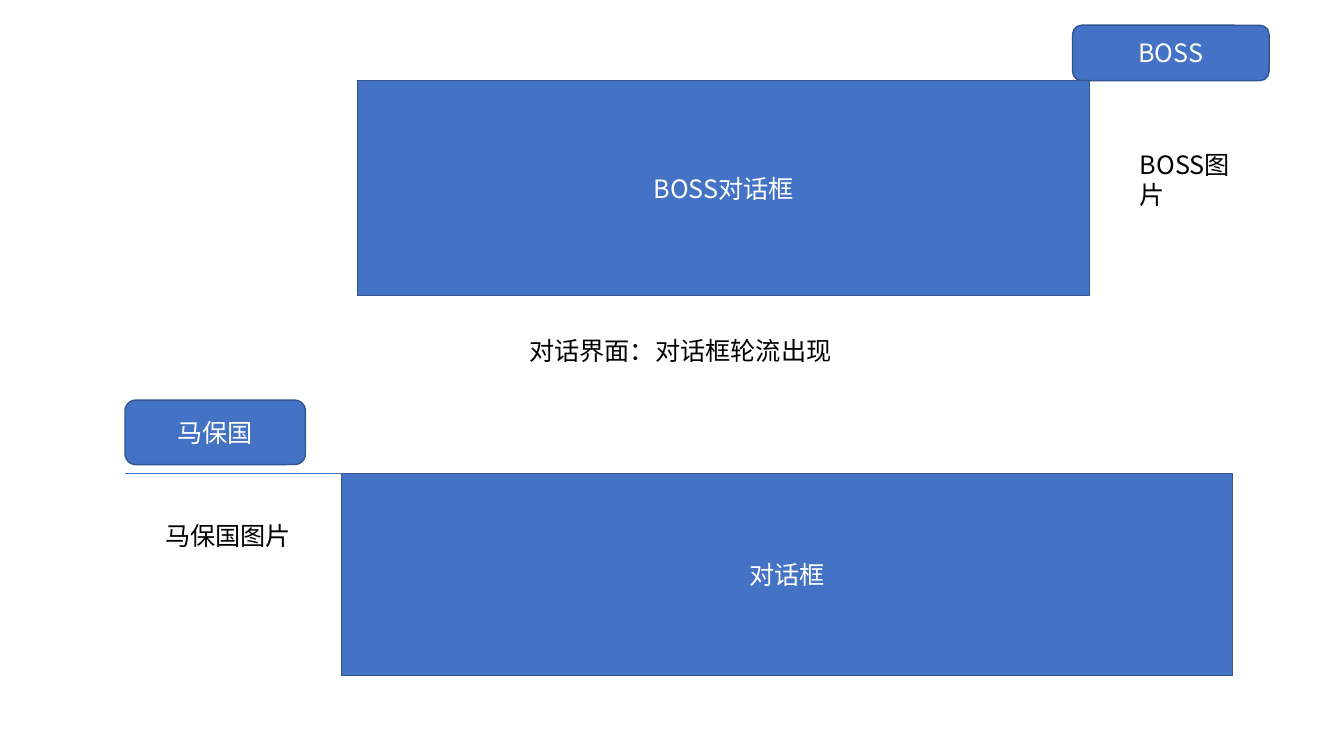
import pptx
import pptx.util
import pptx.dml.color
import pptx.enum.shapes
import pptx.enum.text
import pptx.oxml.ns
import lxml.etree

Pt = pptx.util.Pt
SHAPE = pptx.enum.shapes.MSO_SHAPE
ALIGN = pptx.enum.text.PP_ALIGN
ANCHOR = pptx.enum.text.MSO_ANCHOR
FONT = "Noto Sans CJK SC"
COLORS = {"fill": "4472C4", "outline": "325491", "light": "FFFFFF", "dark": "000000"}


def color(name):
    return pptx.dml.color.RGBColor.from_string(COLORS[name])


def write(shape, text, ink, align, anchor, wrap=True):
    frame = shape.text_frame
    frame.text = text
    frame_format = {
        "word_wrap": wrap, "vertical_anchor": anchor,
        "auto_size": pptx.enum.text.MSO_AUTO_SIZE.NONE,
        "margin_left": Pt(7.2), "margin_right": Pt(7.2),
        "margin_top": Pt(3.6), "margin_bottom": Pt(3.6),
    }
    for key, value in frame_format.items():
        setattr(frame, key, value)
    paragraph = frame.paragraphs[0]
    paragraph.alignment = align
    paragraph.line_spacing = 1.0
    run = paragraph.runs[0]
    for key, value in {"size": Pt(18), "name": FONT, "bold": False}.items():
        setattr(run.font, key, value)
    run.font.color.rgb = color(ink)
    # East Asian typeface for the Chinese characters
    east_asian = lxml.etree.SubElement(run.font._element, pptx.oxml.ns.qn("a:ea"))
    east_asian.set("typeface", FONT)


deck = pptx.Presentation()
deck.slide_width, deck.slide_height = Pt(960), Pt(540)
slide = deck.slides.add_slide(deck.slide_layouts[5])

# Rule above the player's side
rule = slide.shapes.add_connector(
    pptx.enum.shapes.MSO_CONNECTOR.STRAIGHT, Pt(89.3), Pt(338.4), Pt(729.4), Pt(338.4))
rule.line.color.rgb = color("fill")
rule.line.width = Pt(0.5)
lxml.etree.SubElement(rule._element.spPr, pptx.oxml.ns.qn("a:effectLst"))

# Dialogue boxes and name plates
panels = [
    ("对话框", SHAPE.RECTANGLE, 244.1, 338.4, 636.5, 144),
    ("马保国", SHAPE.ROUNDED_RECTANGLE, 89.3, 285.8, 128.9, 46.1),
    ("BOSS", SHAPE.ROUNDED_RECTANGLE, 766.1, 18, 140.4, 39.6),
    ("BOSS对话框", SHAPE.RECTANGLE, 255.6, 57.6, 522.7, 153.4),
]
for text, kind, *box in panels:
    panel = slide.shapes.add_shape(kind, *map(Pt, box))
    panel.shadow.inherit = False
    panel.fill.solid()
    panel.fill.fore_color.rgb = color("fill")
    panel.line.color.rgb = color("outline")
    panel.line.width = Pt(1)
    write(panel, text, "light", ALIGN.CENTER, ANCHOR.MIDDLE)

# Labels where the portraits go
portraits = [
    ("马保国图片", 110.9, 367.9, 133.9, 28.8),
    ("BOSS图片", 807.1, 103, 86.4, 51.1),
]
for text, *box in portraits:
    portrait = slide.shapes.add_textbox(*map(Pt, box))
    write(portrait, text, "dark", ALIGN.LEFT, ANCHOR.TOP)

# Slide title between the two sides
title = slide.shapes.title
title_box = {"left": 370.8, "top": 236.2, "width": 232.6, "height": 28.8}
for key, value in title_box.items():
    setattr(title, key, Pt(value))
write(title, "对话界面：对话框轮流出现", "dark", ALIGN.LEFT, ANCHOR.TOP, wrap=False)

deck.save("out.pptx")
